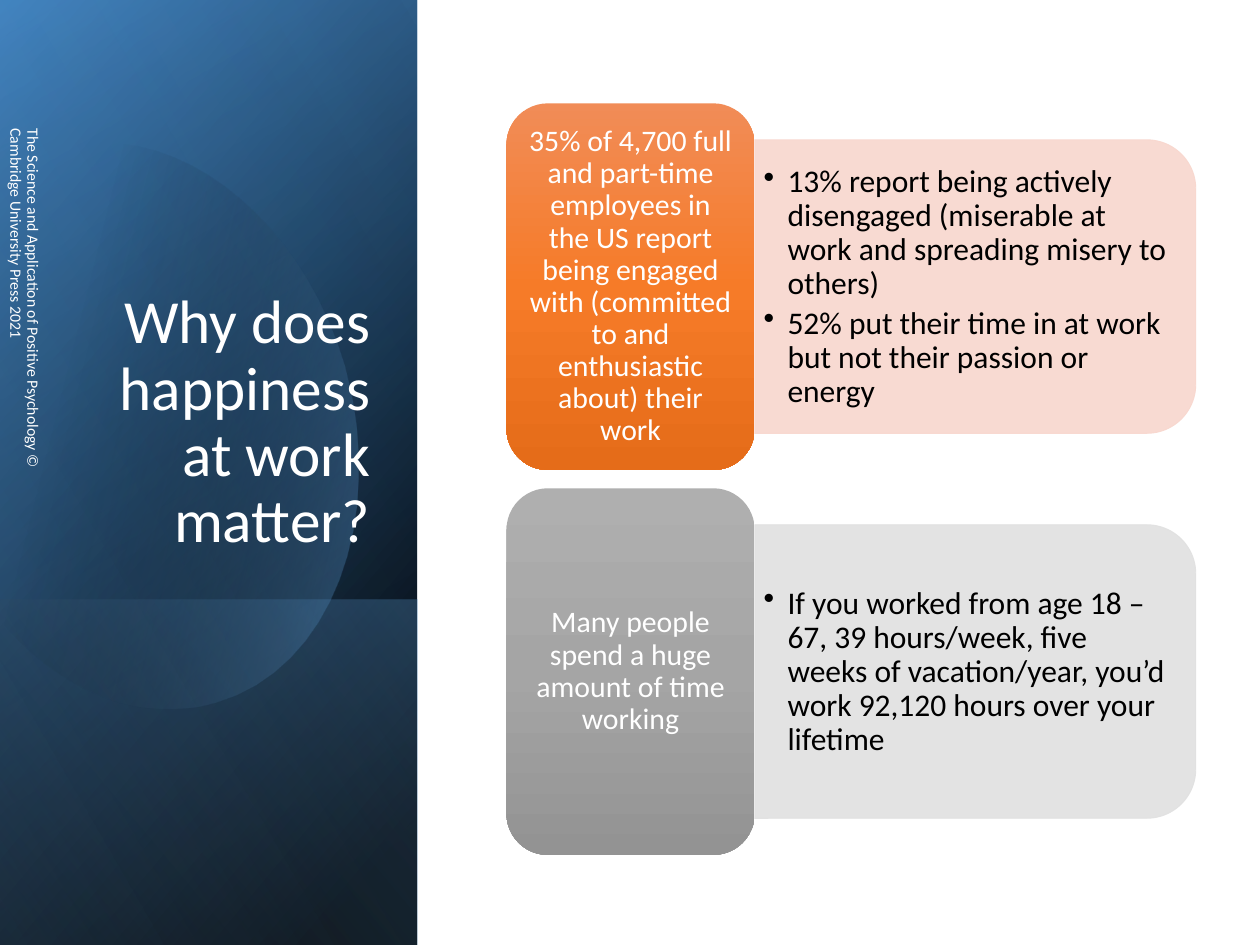
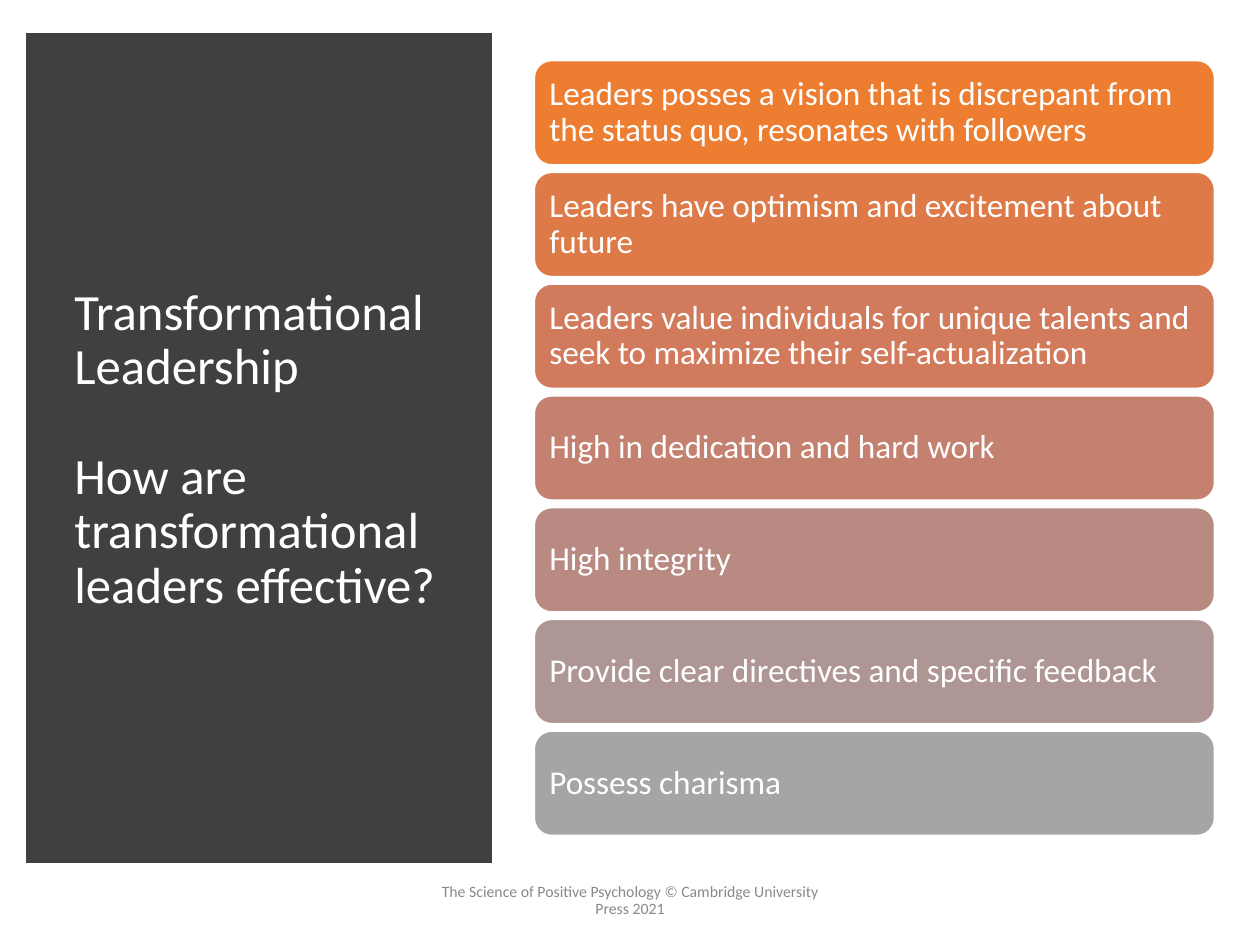
from dataclasses import dataclass

from lxml.etree import SubElement
from pptx import Presentation
from pptx.dml.color import RGBColor
from pptx.enum.shapes import MSO_SHAPE
from pptx.enum.text import MSO_ANCHOR, MSO_AUTO_SIZE, PP_ALIGN
from pptx.oxml.ns import qn
from pptx.util import Emu, Inches, Pt

COLUMNS, ROWS = 100, 75


@dataclass(frozen=True)
class Theme:
    font: str = "Calibri"
    white: str = "FFFFFF"
    black: str = "000000"
    muted: str = "898989"
    charcoal: str = "404040"
    peach: str = "F8D7CE"
    silver: str = "E1E1E1"
    orange_fade: tuple = ((0, "F18C57", 100), (50, "F67B28", 100), (100, "E56C19", 100))
    gray_fade: tuple = ((0, "AFAFAF", 100), (50, "A5A5A5", 100), (100, "939393", 100))
    panel_base: tuple = ((8, "000000", 100), (100, "2E75B6", 100))
    panel_tint: tuple = ((0, "000000", 0), (99, "5B9BD5", 46))
    panel_foot: tuple = ((2, "5B9BD5", 29), (100, "000000", 30))
    panel_blob: tuple = ((29, "000000", 0), (100, "5B9BD5", 43))
    panel_glow: tuple = ((0, "000000", 0), (99, "9DC3E6", 11))
    trait_fills: tuple = ("ED7D31", "DE7A47", "D17B5C", "C48170", "B98A82", "AE9694", "A5A5A5")
    big_title: int = 35
    title: int = 29
    trait: int = 19
    detail: int = 18
    claim: int = 17
    footer: int = 9


def write(frame, paragraphs, size, color, font, align=PP_ALIGN.LEFT, anchor=MSO_ANCHOR.MIDDLE,
          insets=(0.1, 0.05, 0.1, 0.05), gap=0, bullet=None):
    frame.word_wrap = True
    frame.auto_size = MSO_AUTO_SIZE.NONE
    frame.vertical_anchor = anchor
    frame.margin_left, frame.margin_top, frame.margin_right, frame.margin_bottom = map(Inches, insets)
    for index, text in enumerate(paragraphs):
        paragraph = frame.add_paragraph() if index else frame.paragraphs[0]
        paragraph.text = text
        if bullet:
            properties = paragraph._p.get_or_add_pPr()
            properties.set("marL", str(Inches(0.19)))
            properties.set("indent", str(-Inches(0.19)))
            SubElement(properties, qn("a:buChar"), char=bullet)
        paragraph.alignment = align
        paragraph.line_spacing = 0.9
        if index:
            paragraph.space_before = Pt(gap)
        paragraph.font.name = font
        paragraph.font.size = Pt(size)
        paragraph.font.color.rgb = RGBColor.from_string(color)


def curve(start, first, second, end, steps=16):
    for step in range(1, steps + 1):
        t = step / steps
        weights = ((1 - t) ** 3, 3 * t * (1 - t) ** 2, 3 * t * t * (1 - t), t ** 3)
        yield tuple(sum(weight * point[axis] for weight, point in zip(weights, (start, first, second, end)))
                    for axis in (0, 1))


class Deck:
    def __init__(self, theme):
        self.theme = theme
        self.presentation = Presentation()
        self.presentation.slide_width = Inches(10)
        self.presentation.slide_height = Inches(7.5)
        self.column = self.presentation.slide_width / COLUMNS
        self.row = self.presentation.slide_height / ROWS
        self.slide = None

    def new_slide(self):
        self.slide = self.presentation.slides.add_slide(self.presentation.slide_layouts[5])

    def place(self, left, top, width, height):
        return (Emu(round(left * self.column)), Emu(round(top * self.row)),
                Emu(round(width * self.column)), Emu(round(height * self.row)))

    def turned(self, left, top, width, height):
        return (left + (width - height) / 2, top + (height - width) / 2, height, width)

    def text(self, frame, paragraphs, **style):
        write(frame, paragraphs, font=self.theme.font, **style)

    def title(self, box, paragraphs, **style):
        title = self.slide.shapes.title
        title.left, title.top, title.width, title.height = self.place(*box)
        self.slide.shapes.element.append(title.element)
        self.text(title.text_frame, paragraphs, color=self.theme.white, **style)

    def text_box(self, box, paragraphs, quarter_turn=False, **style):
        frame_box = self.turned(*box) if quarter_turn else box
        text_box = self.slide.shapes.add_textbox(*self.place(*frame_box))
        text_box.rotation = 90 if quarter_turn else 0
        self.text(text_box.text_frame, paragraphs, **style)

    def shape(self, kind, box, fill, angle=90, line=None, line_width=1, opacity=None,
              quarter_turn=False, flip=False):
        frame_box = self.turned(*box) if quarter_turn else box
        shape = self.slide.shapes.add_shape(kind, *self.place(*frame_box))
        shape.rotation = 90 if quarter_turn else 0
        if flip:
            shape.element.spPr.find(qn("a:xfrm")).set("flipH", "1")
        self.paint(shape, fill, angle, line, line_width, opacity)
        return shape

    def paint(self, shape, fill, angle=90, line=None, line_width=1, opacity=None):
        shape.shadow.inherit = False
        if isinstance(fill, tuple):
            self.gradient(shape, fill, angle)
        else:
            shape.fill.solid()
            shape.fill.fore_color.rgb = RGBColor.from_string(fill)
        if line:
            shape.line.color.rgb = RGBColor.from_string(line)
            shape.line.width = Pt(line_width)
            SubElement(shape.element.spPr.find(qn("a:ln")), qn("a:miter"), lim="800000")
        else:
            shape.line.fill.background()
        if opacity:
            for color in shape.element.spPr.iter(qn("a:srgbClr")):
                SubElement(color, qn("a:alpha"), val=str(opacity * 1000))

    def gradient(self, shape, stops, angle):
        shape.fill.gradient()
        gradient = shape.element.spPr.find(qn("a:gradFill"))
        for child in list(gradient):
            gradient.remove(child)
        stop_list = SubElement(gradient, qn("a:gsLst"))
        for position, color, opacity in stops:
            stop = SubElement(stop_list, qn("a:gs"), pos=str(position * 1000))
            swatch = SubElement(stop, qn("a:srgbClr"), val=color)
            if opacity < 100:
                SubElement(swatch, qn("a:alpha"), val=str(opacity * 1000))
        SubElement(gradient, qn("a:lin"), ang=str(angle * 60000), scaled="0")

    def outline(self, points, fill, angle):
        pixels = [(x * self.column, y * self.row) for x, y in points]
        builder = self.slide.shapes.build_freeform(*map(round, pixels[0]))
        builder.add_line_segments([(round(x), round(y)) for x, y in pixels[1:]], close=True)
        self.paint(builder.convert_to_shape(), fill, angle)

    def footer(self, box, text, **style):
        self.text_box(box, [text], size=self.theme.footer, **style)

    def claim_card(self, top, claim, details, fade, tint):
        theme = self.theme
        insets = (0.07, 0.04, 0.07, 0.04)
        self.shape(MSO_SHAPE.ROUND_2_SAME_RECTANGLE, (59.9, top + 2.9, 35, 23.3), tint,
                   line=tint, line_width=0.5, opacity=90, quarter_turn=True)
        self.text_box((59.9, top + 4.1, 33.9, 21), details, size=theme.detail, color=theme.black,
                      insets=insets, gap=3, bullet="•")
        card = self.shape(MSO_SHAPE.ROUNDED_RECTANGLE, (40.2, top, 19.7, 29.1), fade)
        self.text(card.text_frame, [claim], size=theme.claim, color=theme.white,
                  align=PP_ALIGN.CENTER, insets=insets)


def blob_points():
    start, upper, side, lower, tail = (9.6, 11.4), (27.3, 29), (17.1, 55.7), (0.7, 50), (4.5, 11.8)
    return [start,
            *curve(start, (17.1, 12.2), (24.4, 19.2), upper),
            *curve(upper, (30.7, 41.2), (26.2, 53.1), side),
            *curve(side, (11.4, 57.4), (5.3, 55), lower),
            (-0.3, 48.8), (-2.5, 16.6), (-1.5, 15.4),
            *curve((-1.5, 15.4), (0.2, 13.7), (2.2, 12.5), tail),
            *curve(tail, (6.3, 11.3), (7.9, 11.2), start)]


def build_happiness_slide(deck):
    theme = deck.theme
    deck.new_slide()
    panel = (0, 0, 33.1, 75)
    panel_foot = (0, 47.6, 33.1, 27.4)
    for box, fade, angle in ((panel, theme.panel_base, 50), (panel, theme.panel_tint, 30),
                             (panel_foot, theme.panel_foot, 130)):
        deck.shape(MSO_SHAPE.RECTANGLE, box, fade, angle, quarter_turn=True, flip=True)
    deck.outline(blob_points(), theme.panel_blob, 14)
    deck.shape(MSO_SHAPE.RECTANGLE, panel, theme.panel_glow, 120, quarter_turn=True, flip=True)
    deck.title((4.8, 18.4, 25.6, 26.2), ["Why does happiness at work matter?"],
               size=theme.big_title, align=PP_ALIGN.RIGHT, anchor=MSO_ANCHOR.BOTTOM)
    deck.footer((-0.1, 6.8, 4, 33.8),
                "The Science and Application of Positive Psychology © Cambridge University Press 2021",
                color=theme.white, quarter_turn=True, insets=(0.34, 0.05, 0, 0.05))
    cards = (
        ("35% of 4,700 full and part-time employees in the US report being engaged with "
         "(committed to and enthusiastic about) their work",
         ["13% report being actively disengaged (miserable at work and spreading misery to others)",
          "52% put their time in at work but not their passion or energy"],
         theme.orange_fade, theme.peach),
        ("Many people spend a huge amount of time working",
         ["If you worked from age 18 – 67, 39 hours/week, five weeks of vacation/year, "
          "you’d work 92,120 hours over your lifetime"],
         theme.gray_fade, theme.silver),
    )
    for index, card in enumerate(cards):
        deck.claim_card(8.2 + index * 30.55, *card)


def build_leadership_slide(deck):
    theme = deck.theme
    deck.new_slide()
    deck.shape(MSO_SHAPE.RECTANGLE, (2.8, 3.3, 35.6, 64.5), theme.charcoal,
               line=theme.charcoal, line_width=10)
    deck.title((4.9, 7, 31.2, 57.5),
               ["Transformational Leadership", "How are transformational leaders effective?"],
               size=theme.title, gap=31)
    deck.footer((33.1, 69.5, 33.8, 4),
                "The Science of Positive Psychology © Cambridge University Press 2021",
                color=theme.muted, align=PP_ALIGN.CENTER)
    traits = (
        "Leaders posses a vision that is discrepant from the status quo, resonates with followers",
        "Leaders have optimism and excitement about future",
        "Leaders value individuals for unique talents and seek to maximize their self-actualization",
        "High in dedication and hard work",
        "High integrity",
        "Provide clear directives and specific feedback",
        "Possess charisma",
    )
    for index, (trait, fill) in enumerate(zip(traits, theme.trait_fills)):
        bar = deck.shape(MSO_SHAPE.ROUNDED_RECTANGLE, (42.4, 4.8 + index * 8.87, 54, 8.3), fill,
                         line=theme.white)
        deck.text(bar.text_frame, [trait], size=theme.trait, color=theme.white, insets=(0.08,) * 4)


def main():
    deck = Deck(Theme())
    build_happiness_slide(deck)
    build_leadership_slide(deck)
    deck.presentation.save("out.pptx")


if __name__ == "__main__":
    main()
